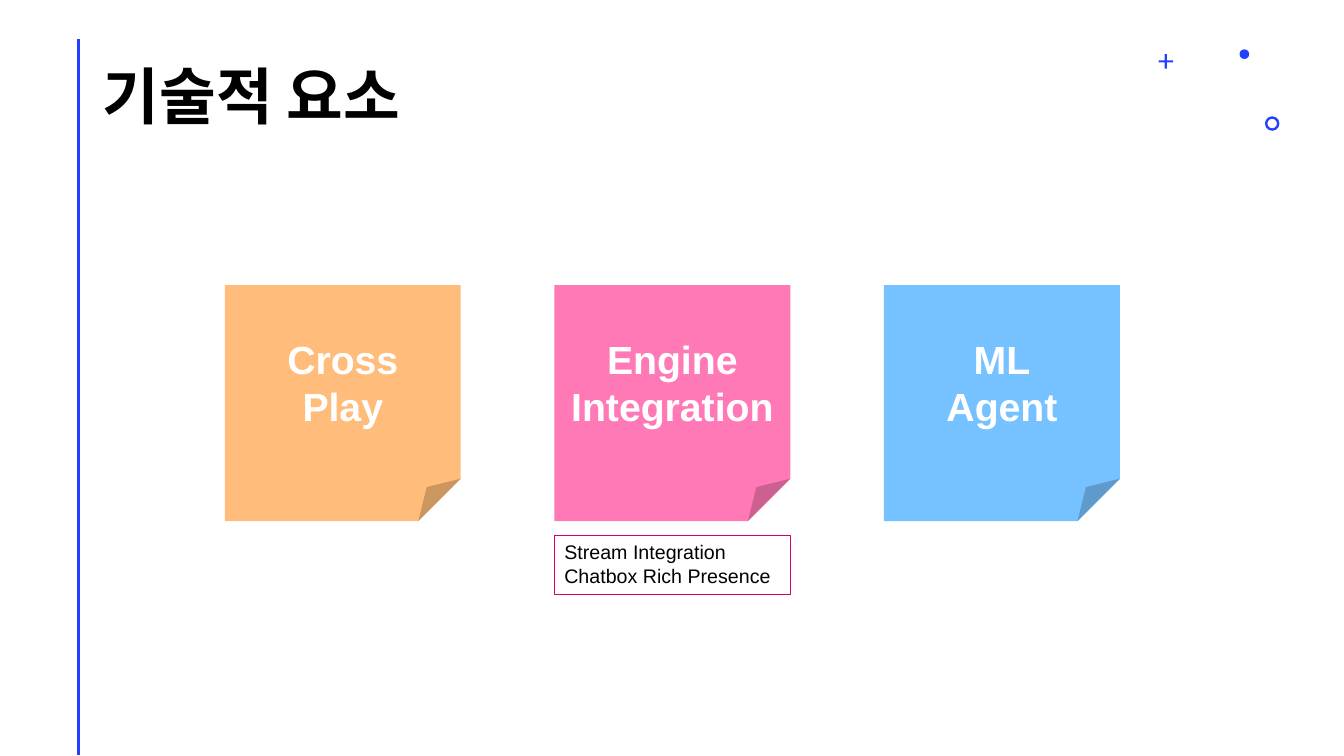
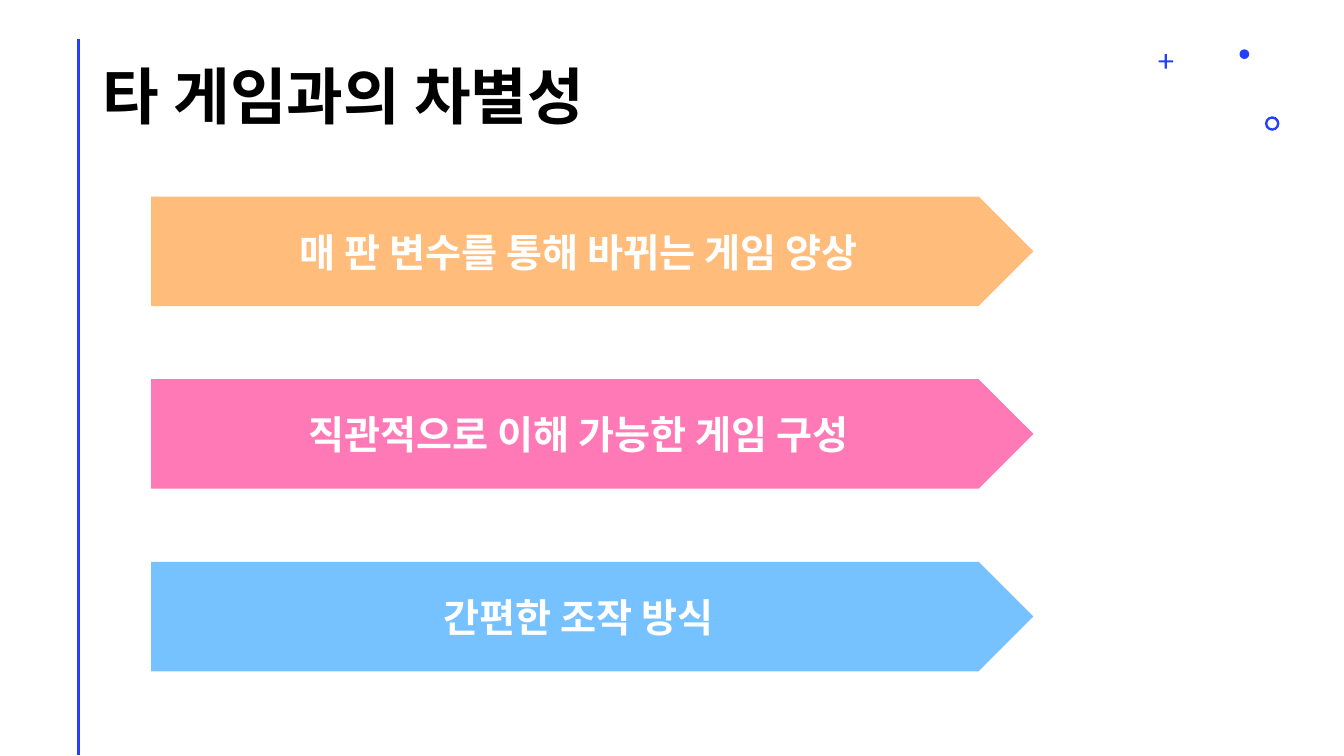
from pptx import Presentation
from pptx.dml.color import RGBColor
from pptx.enum.shapes import MSO_CONNECTOR, MSO_SHAPE
from pptx.enum.text import MSO_ANCHOR, MSO_AUTO_SIZE, PP_ALIGN
from pptx.oxml.ns import qn
from pptx.oxml.xmlchemy import OxmlElement
from pptx.util import Inches, Pt

STRAIGHT = MSO_CONNECTOR.STRAIGHT
NOTE, ARROW, FRAME = MSO_SHAPE.FOLDED_CORNER, MSO_SHAPE.PENTAGON, MSO_SHAPE.RECTANGLE
PLUS, DOT, RING = MSO_SHAPE.CROSS, MSO_SHAPE.OVAL, MSO_SHAPE.DONUT
LEFT, CENTER = PP_ALIGN.LEFT, PP_ALIGN.CENTER
TOP, MIDDLE = MSO_ANCHOR.TOP, MSO_ANCHOR.MIDDLE
NO_FIT = MSO_AUTO_SIZE.NONE

WIDTH, HEIGHT = Inches(13.33), Inches(7.5)
LATIN, KOREAN = "Arial", "Noto Sans CJK KR"
BLUE, BLACK, WHITE, CRIMSON = "243FFF", "000000", "FFFFFF", "D60062"
ACCENTS = ["FFBC7A", "FF79B6", "76C1FF"]
TITLE_ONLY = 5


def color(value):
    """Turn a hex string into a colour."""
    return RGBColor.from_string(value)


def grid(left, top, width, height):
    """Turn hundredths of the slide's width and height into a box."""
    return (int(left * WIDTH / 100), int(top * HEIGHT / 100),
            int(width * WIDTH / 100), int(height * HEIGHT / 100))


def write(shape, text, size, ink, font=LATIN, bold=True, align=CENTER, anchor=MIDDLE):
    """Set the text of a shape and format its runs."""
    frame = shape.text_frame
    frame.text = text
    frame.word_wrap = True
    frame.auto_size = NO_FIT
    frame.vertical_anchor = anchor
    for para in frame.paragraphs:
        para.alignment = align
        for span in para.runs:
            span.font.size = Pt(size)
            span.font.bold = bold
            span.font.name = font
            span.font.color.rgb = color(ink)
    for properties in shape.element.iter(qn("a:rPr")):
        east_asian = OxmlElement("a:ea")
        east_asian.set("typeface", KOREAN)
        properties.append(east_asian)


def set_adjustment(shape, share):
    """Set the single adjustment of a preset shape."""
    guide = OxmlElement("a:gd")
    guide.set("name", "adj")
    guide.set("fmla", f"val {round(share * 100000)}")
    for guides in shape.element.iter(qn("a:avLst")):
        guides[:] = [guide]


def add_block(page, kind, box, fill=None, line=None, adjust=None):
    """Add a flat preset shape."""
    shape = page.shapes.add_shape(kind, *(int(length) for length in box))
    shape.shadow.inherit = False
    if fill:
        shape.fill.solid()
        shape.fill.fore_color.rgb = color(fill)
    else:
        shape.fill.background()
    if line:
        shape.line.color.rgb = color(line)
        shape.line.width = Pt(0.75)
    else:
        shape.line.fill.background()
    if adjust is not None:
        set_adjustment(shape, adjust)
    return shape


def add_rule(page, box):
    """Add the vertical rule along the left side of a box."""
    left, top, _, height = box
    rule = page.shapes.add_connector(STRAIGHT, left, top, left, top + height)
    rule.line.color.rgb = color(BLUE)
    rule.line.width = Pt(2)
    rule.element.spPr.append(OxmlElement("a:effectLst"))
    return rule


def add_marks(page, box):
    """Add the plus, dot and ring of the corner ornament."""
    left, top, width, height = box
    marks = [(PLUS, 0, 0.06, 0.12, 0.43),
             (DOT, 0.67, 0, 0.08, None),
             (RING, 0.88, 0.83, 0.12, 0.17)]
    return [add_block(page, kind,
                      (left + x * width, top + y * height, side * width, side * width),
                      fill=BLUE, adjust=adjust)
            for kind, x, y, side, adjust in marks]


def decorate_layout(layout, page):
    """Draw the shared ornaments and move them into the layout."""
    ornaments = [add_rule(page, grid(5.85, 5.2, 0, 94.7))]
    ornaments += add_marks(page, grid(86.2, 6.53, 9, 10.67))
    for number, ornament in enumerate(ornaments, start=20):
        for properties in ornament.element.iter(qn("p:cNvPr")):
            properties.set("id", str(number))
        layout.shapes.element.append(ornament.element)


def add_page(deck, title):
    """Add a slide with its title."""
    page = deck.slides.add_slide(deck.slide_layouts[TITLE_ONLY])
    heading = page.shapes.title
    heading.left, heading.top, heading.width, heading.height = grid(6.9, 5.47, 61.5, 15.47)
    write(heading, title, 44, BLACK, font=KOREAN, align=LEFT)
    heading.text_frame.paragraphs[0].line_spacing = 0.9
    return page


def add_notes(page, box, notes):
    """Add a row of square notes, each with an optional caption below."""
    left, top, width, side = box
    step = (width - side) / (len(notes) - 1)
    for index, ((label, caption), fill) in enumerate(zip(notes, ACCENTS)):
        x = left + index * step
        note = add_block(page, NOTE, (x, top, side, side), fill=fill, adjust=0.18)
        write(note, label, 28, WHITE)
        if caption:
            frame = add_block(page, FRAME, (x, top + 1.06 * side, side, 0.25 * side),
                              line=CRIMSON)
            write(frame, caption, 14, BLACK, bold=False, align=LEFT, anchor=TOP)


def add_arrows(page, box, labels):
    """Add a stack of arrows, with gaps two thirds of an arrow high."""
    left, top, width, height = box
    unit = height / (5 * len(labels) - 2)
    for index, (label, fill) in enumerate(zip(labels, ACCENTS)):
        arrow = add_block(page, ARROW, (left, top + 5 * index * unit, width, 3 * unit),
                          fill=fill)
        write(arrow, label, 28, WHITE)


def main():
    """Build the deck and save it."""
    deck = Presentation()
    deck.slide_width, deck.slide_height = WIDTH, HEIGHT

    page = add_page(deck, "기술적 요소")
    decorate_layout(deck.slide_layouts[TITLE_ONLY], page)
    add_notes(page, grid(16.73, 37.73, 66.6, 31.2), [
        ("Cross\nPlay", None),
        ("Engine\nIntegration", "Stream Integration\nChatbox Rich Presence"),
        ("ML\nAgent", None),
    ])

    page = add_page(deck, "타 게임과의 차별성")
    add_arrows(page, grid(11.25, 26, 65.64, 62.8), [
        "매 판 변수를 통해 바뀌는 게임 양상",
        "직관적으로 이해 가능한 게임 구성",
        "간편한 조작 방식",
    ])

    deck.save("out.pptx")


if __name__ == "__main__":
    main()
